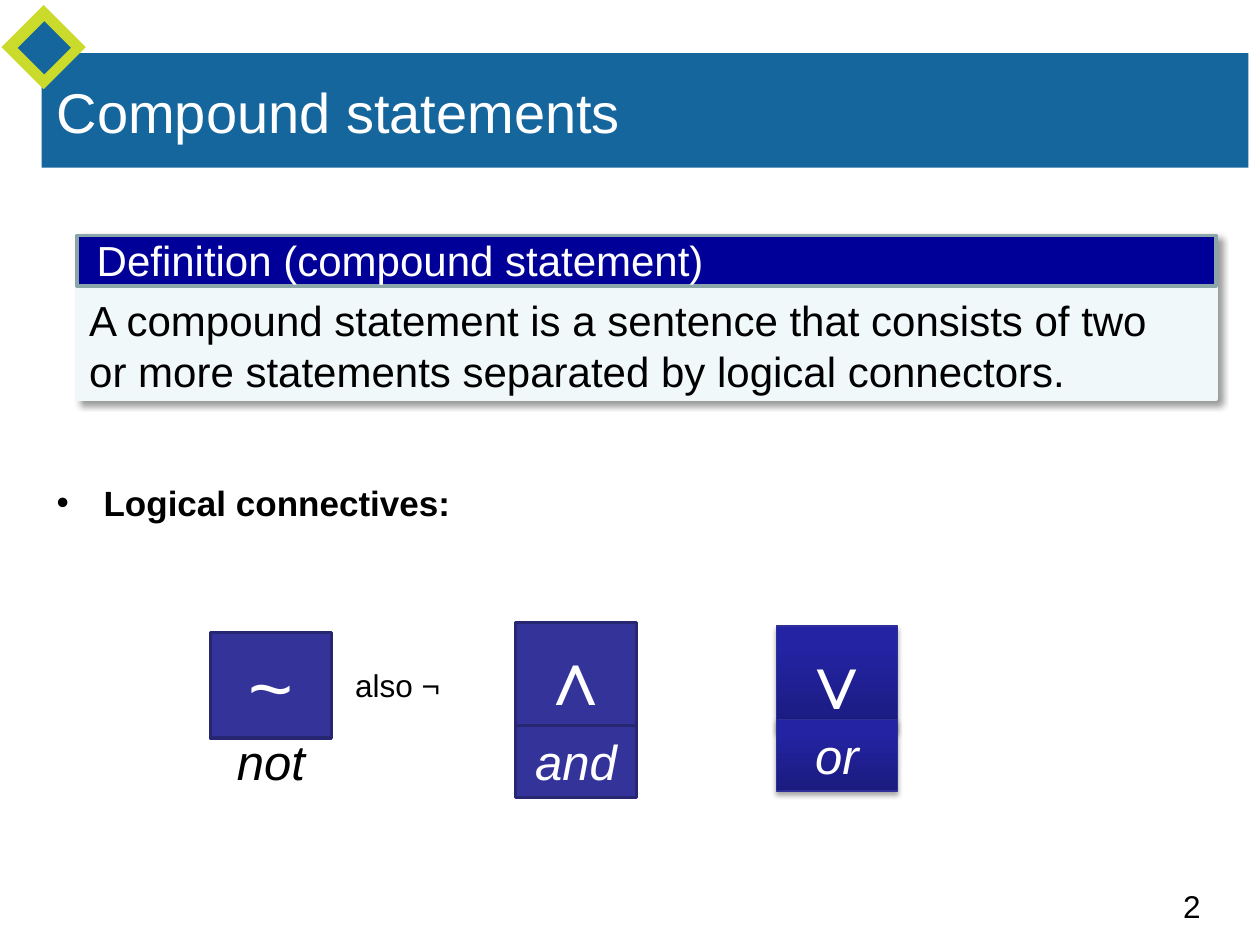
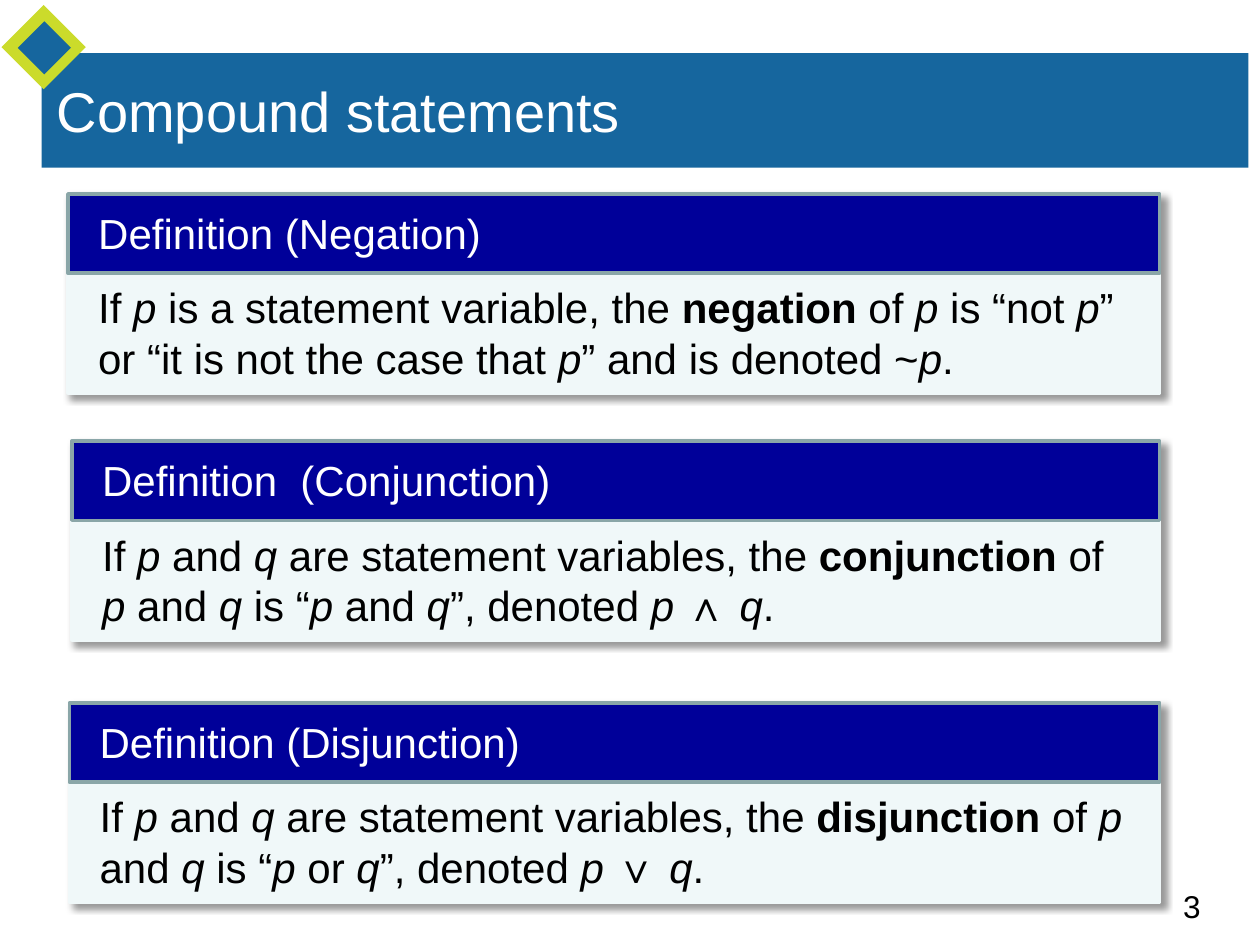
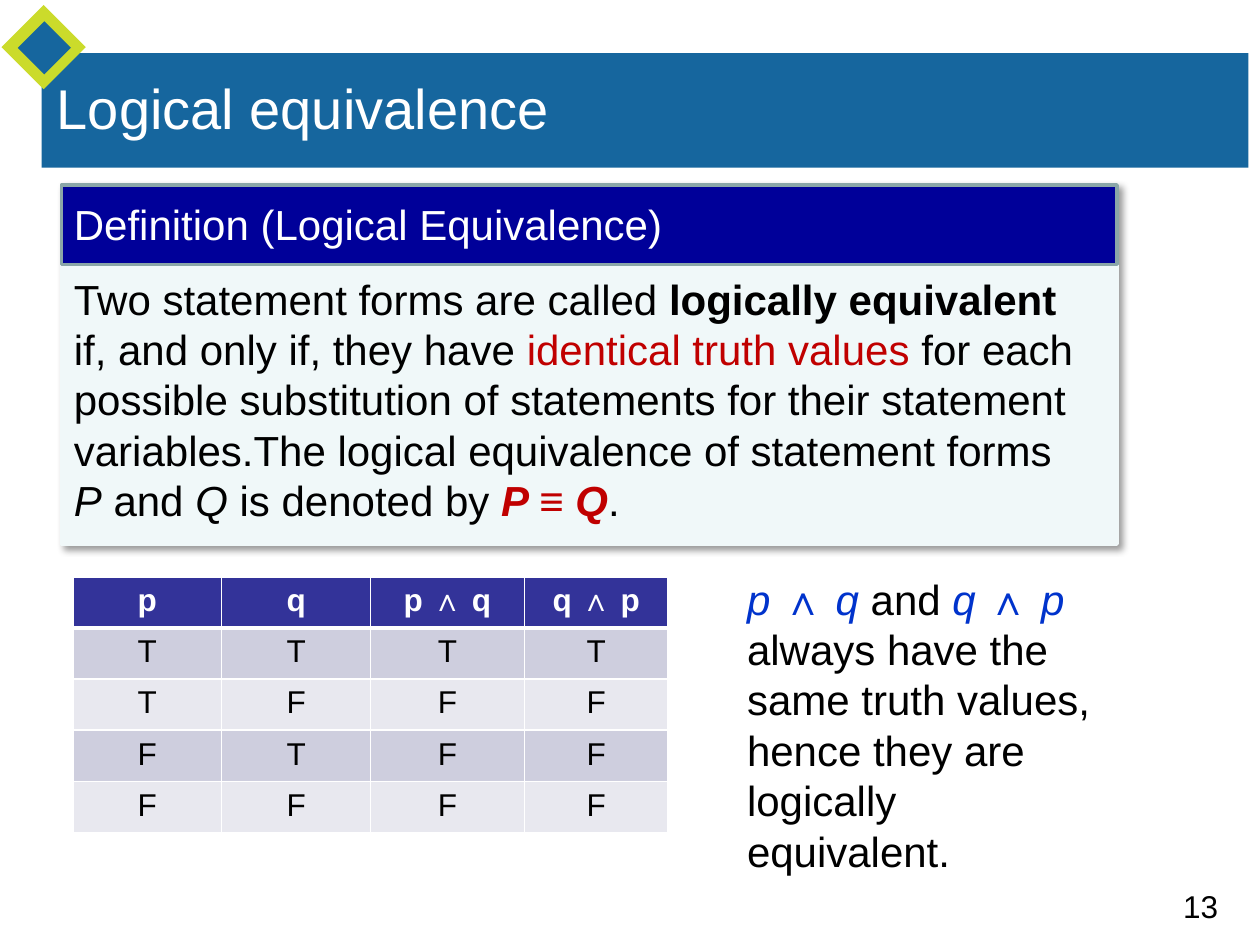
from lxml.etree import SubElement
from pptx import Presentation
from pptx.dml.color import RGBColor
from pptx.enum.shapes import MSO_SHAPE
from pptx.enum.text import MSO_ANCHOR, MSO_AUTO_SIZE, PP_ALIGN
from pptx.oxml.ns import qn
from pptx.util import Cm, Pt

FONT = "Arial"
WHITE = RGBColor(0xFF, 0xFF, 0xFF)
BLACK = RGBColor(0, 0, 0)
BAND_BLUE = RGBColor(0x16, 0x66, 0x9E)
LIME = RGBColor(0xCB, 0xDB, 0x2B)
HEADING_BLUE = RGBColor(0, 0, 0x99)
HEADING_EDGE = RGBColor(0x8A, 0xA6, 0xA8)
PANEL = RGBColor(0xF0, 0xF8, 0xF9)
INDIGO = RGBColor(0x33, 0x33, 0x99)
INDIGO_EDGE = RGBColor(0x26, 0x26, 0x71)
GLOSS_DARK = RGBColor(0x1B, 0x1B, 0x7E)
GLOSS_LIGHT = RGBColor(0x23, 0x23, 0xA3)
GLOSS_EDGE = RGBColor(0x2F, 0x2F, 0x98)
ROW_DARK = RGBColor(0xCE, 0xCE, 0xDE)
ROW_LIGHT = RGBColor(0xE8, 0xE8, 0xEF)
RED = RGBColor(0xC0, 0, 0)
FORMULA_BLUE = RGBColor(0, 0x33, 0xCC)

ITALIC = {"italic": True}
BOLD = {"bold": True}
FORMULA = {"color": FORMULA_BLUE}
FORMULA_VARIABLE = {"color": FORMULA_BLUE, "italic": True}
KEY_FORMULA = {"color": RED, "bold": True}
KEY_VARIABLE = {"color": RED, "bold": True, "italic": True}
P = ("p", ITALIC)
Q = ("q", ITALIC)

# Shadow settings: opacity in percent, blur and distance in points, angle in degrees
PANEL_SHADOW = (40, 4, 3, 45)
GLOSS_SHADOW = (35, 3.1, 1.8, 90)


def write(frame, text, size=24, color=BLACK, bold=False, italic=False,
          align=PP_ALIGN.LEFT):
    """Write a string, or a list of strings and (string, format) pairs."""
    paragraph = frame.paragraphs[0]
    paragraph.alignment = align
    for part in [text] if isinstance(text, str) else text:
        words, changes = (part, {}) if isinstance(part, str) else part
        style = {"color": color, "bold": bold, "italic": italic, **changes}
        run = paragraph.add_run()
        run.text = words
        run.font.name = FONT
        run.font.size = Pt(size)
        run.font.bold = style["bold"]
        run.font.italic = style["italic"]
        run.font.color.rgb = style["color"]
    return paragraph


def add_text(shapes, place, text, wrap=True, **style):
    box = shapes.add_textbox(*map(Cm, place))
    box.text_frame.word_wrap = wrap
    return write(box.text_frame, text, **style)


def add_shadow(shape, opacity, blur, distance, angle):
    effects = shape.element.spPr.find(qn("a:effectLst"))
    shadow = SubElement(effects, qn("a:outerShdw"), blurRad=str(Pt(blur)),
                        dist=str(Pt(distance)), dir=str(angle * 60000),
                        algn="tl", rotWithShape="0")
    color = SubElement(shadow, qn("a:srgbClr"), val="000000")
    SubElement(color, qn("a:alpha"), val=str(opacity * 1000))


def add_block(shapes, place, fill, edge=None, edge_width=2, shadow=None,
              outline=MSO_SHAPE.RECTANGLE):
    """Add a filled shape; a pair of colours fills it from bottom to top."""
    block = shapes.add_shape(outline, *map(Cm, place))
    block.shadow.inherit = False
    if isinstance(fill, list):
        block.fill.gradient()
        block.fill.gradient_angle = 90
        for stop, color, position in zip(block.fill.gradient_stops, fill, (0, 0.8)):
            stop.color.rgb = color
            stop.position = position
    else:
        block.fill.solid()
        block.fill.fore_color.rgb = fill
    if edge is None:
        block.line.fill.background()
    else:
        block.line.color.rgb = edge
        block.line.width = Pt(edge_width)
    if shadow:
        add_shadow(block, *shadow)
    block.text_frame.vertical_anchor = MSO_ANCHOR.TOP
    return block


def decorate_layout(layout, slide):
    """Draw the band and its diamonds, then move them to the layout."""
    diamond = MSO_SHAPE.DIAMOND
    parts = [
        add_block(slide.shapes, (0.84, 1.07, 24.33, 2.31), BAND_BLUE),
        add_block(slide.shapes, (0.03, 0.1, 1.7, 1.7), LIME, outline=diamond),
        add_block(slide.shapes, (0.36, 0.43, 1.07, 1.07), BAND_BLUE, outline=diamond),
    ]
    for shape_id, part in enumerate(parts, start=20):
        part.element.nvSpPr.cNvPr.id = shape_id
        layout.shapes.element.append(part.element)


def add_titled_slide(deck, layout, title, number, title_place):
    slide = deck.slides.add_slide(layout)
    heading = slide.shapes.title
    heading.left, heading.top, heading.width, heading.height = map(Cm, title_place)
    heading.text_frame.auto_size = MSO_AUTO_SIZE.NONE
    heading.text_frame.vertical_anchor = MSO_ANCHOR.MIDDLE
    write(heading.text_frame, title, size=32, color=WHITE)
    add_text(slide.shapes, (23.6, 17.75, 1.8, 1.02), number, size=18)
    return slide


def add_definition(slide, place, heading, body, heading_height=1.6,
                   heading_indent=0, body_indent=0):
    left, top, width, height = place
    shapes = slide.shapes.add_group_shape().shapes
    add_block(shapes, place, PANEL, PANEL, shadow=PANEL_SHADOW)
    add_block(shapes, (left, top, width, heading_height), HEADING_BLUE, HEADING_EDGE)
    text_width = width - 0.38
    heading_top = top + heading_height / 2 - 0.65
    add_text(shapes, (left + heading_indent, heading_top,
                      text_width - heading_indent, 1.28), heading, color=WHITE)
    body_top = top + heading_height + 0.05
    add_text(shapes, (left + body_indent, body_top, text_width - body_indent,
                      top + height - body_top), body)


def add_connective(slide, left, symbol_top, name_top, symbol, name,
                   name_filled=True, **look):
    shapes = slide.shapes.add_group_shape().shapes
    centred = {"align": PP_ALIGN.CENTER}
    tile = add_block(shapes, (left, symbol_top, 2.44, 2.13), **look)
    write(tile.text_frame, symbol, size=44, color=WHITE, **centred)
    name_place = (left, name_top, 2.44, 1.45)
    if name_filled:
        label = add_block(shapes, name_place, **look)
        write(label.text_frame, name, size=28, color=WHITE, italic=True, **centred)
    else:
        add_text(shapes, name_place, name, size=28, italic=True, **centred)


def add_bullet(paragraph):
    properties = paragraph._p.get_or_add_pPr()
    properties.set("marL", str(Cm(0.95)))
    properties.set("indent", str(-Cm(0.95)))
    SubElement(properties, qn("a:buFont"), typeface=FONT)
    SubElement(properties, qn("a:buChar"), char="•")


def set_borders(cell, **widths):
    """Give white borders, with widths in points for the sides L, R, T and B."""
    properties = cell._tc.get_or_add_tcPr()
    for index, side in enumerate("LRTB"):
        line = SubElement(properties, qn(f"a:ln{side}"), w=str(Pt(widths.get(side, 1))))
        fill = SubElement(line, qn("a:solidFill"))
        SubElement(fill, qn("a:srgbClr"), val=str(WHITE))
        properties.insert(index, line)


def add_truth_table(slide, left, top, column_widths, row_height, rows):
    table = slide.shapes.add_table(
        len(rows), len(column_widths), Cm(left), Cm(top),
        Cm(sum(column_widths)), Cm(row_height * len(rows))).table
    for column, width in zip(table.columns, column_widths):
        column.width = Cm(width)
    for row_index, values in enumerate(rows):
        is_header = row_index == 0
        row_fill = INDIGO if is_header else (ROW_LIGHT, ROW_DARK)[row_index % 2]
        for column_index, value in enumerate(values):
            cell = table.cell(row_index, column_index)
            cell.fill.solid()
            cell.fill.fore_color.rgb = row_fill
            set_borders(cell, B=3 if is_header else 1, T=3 if row_index == 1 else 1)
            write(cell.text_frame, value, size=18, bold=is_header,
                  color=WHITE if is_header else BLACK, align=PP_ALIGN.CENTER)


def fill_connectives_slide(slide):
    add_text(slide.shapes, (6.91, 13.31, 2.34, 1.02), "also ¬", wrap=False, size=18)
    add_bullet(add_text(slide.shapes, (0.89, 9.58, 23.65, 1.1),
                        "Logical connectives:", size=20, bold=True))
    flat = {"fill": INDIGO, "edge": INDIGO_EDGE}
    glossy = {"fill": [GLOSS_DARK, GLOSS_LIGHT], "edge": GLOSS_EDGE,
              "edge_width": 0.75, "shadow": GLOSS_SHADOW}
    add_connective(slide, 4.24, 12.75, 14.63, "~", "not", name_filled=False, **flat)
    add_connective(slide, 10.39, 12.55, 14.63, "∧", "and", **flat)
    add_connective(slide, 15.65, 12.62, 14.5, "∨", "or", **glossy)
    add_definition(
        slide, (1.55, 4.75, 22.96, 3.3), "Definition (compound statement)",
        "A compound statement is a sentence that consists of two or more "
        "statements separated by logical connectors.",
        heading_height=1.02, heading_indent=0.15)


def binary_definition(term, word, symbol):
    return ["If ", P, " and ", Q, " are statement variables, the ", (term, BOLD),
            " of ", P, " and ", Q, " is “", P, f" {word} ", Q, "”, denoted ",
            ("p ", ITALIC), f"{symbol} ", Q, "."]


def fill_definitions_slide(slide):
    negation = ["If ", P, " is a statement variable, the ", ("negation", BOLD),
                " of ", P, " is “not ", P, "” or “it is not the case that ", P,
                "” and is denoted ~", P, "."]
    right_edge = 23.38
    for left, top, heading, body in [
        (1.37, 3.91, "Definition (Negation)", negation),
        (1.45, 8.89, "Definition  (Conjunction)",
         binary_definition("conjunction", "and", "∧")),
        (1.4, 14.17, "Definition (Disjunction)",
         binary_definition("disjunction", "or", "∨")),
    ]:
        add_definition(slide, (left, top, right_edge - left, 4.01), heading, body,
                       heading_indent=0.36, body_indent=0.36)


def fill_equivalence_slide(slide):
    add_definition(
        slide, (1.24, 3.73, 21.28, 7.24), "Definition (Logical Equivalence)",
        ["Two statement forms are called ", ("logically equivalent ", BOLD),
         "if, and only if, they have ", ("identical truth values ", {"color": RED}),
         "for each possible substitution of statements for their statement "
         "variables.The logical equivalence of statement forms ",
         ("P", ITALIC), " and ", ("Q", ITALIC), " is denoted by ",
         ("P ", KEY_VARIABLE), ("≡ ", KEY_FORMULA), ("Q", KEY_VARIABLE), "."])
    add_truth_table(slide, 1.47, 11.63, (3, 3, 3.1, 2.9), 1.03, [
        ("p", "q", "p ∧ q", "q ∧ p"), "TTTT", "TFFF", "FTFF", "FFFF"])
    add_text(slide.shapes, (14.81, 11.43, 7.44, 6.4), [
        ("p ", FORMULA_VARIABLE), ("∧ ", FORMULA), ("q ", FORMULA_VARIABLE), "and ",
        ("q ", FORMULA_VARIABLE), ("∧ ", FORMULA), ("p ", FORMULA_VARIABLE),
        "always have the same truth values, hence they are logically equivalent."])


def main():
    deck = Presentation()
    deck.slide_width, deck.slide_height = Cm(25.4), Cm(19.05)
    title_only = deck.slide_layouts[5]

    connectives = add_titled_slide(deck, title_only, "Compound statements", "2",
                                   (0.89, 1.07, 24.31, 2.34))
    decorate_layout(title_only, connectives)
    fill_connectives_slide(connectives)

    definitions = add_titled_slide(deck, title_only, "Compound statements", "3",
                                   (0.89, 1.12, 24.31, 2.18))
    fill_definitions_slide(definitions)

    equivalence = add_titled_slide(deck, title_only, "Logical equivalence", "13",
                                   (0.89, 0.56, 22.86, 3.18))
    fill_equivalence_slide(equivalence)

    deck.save("out.pptx")


if __name__ == "__main__":
    main()
